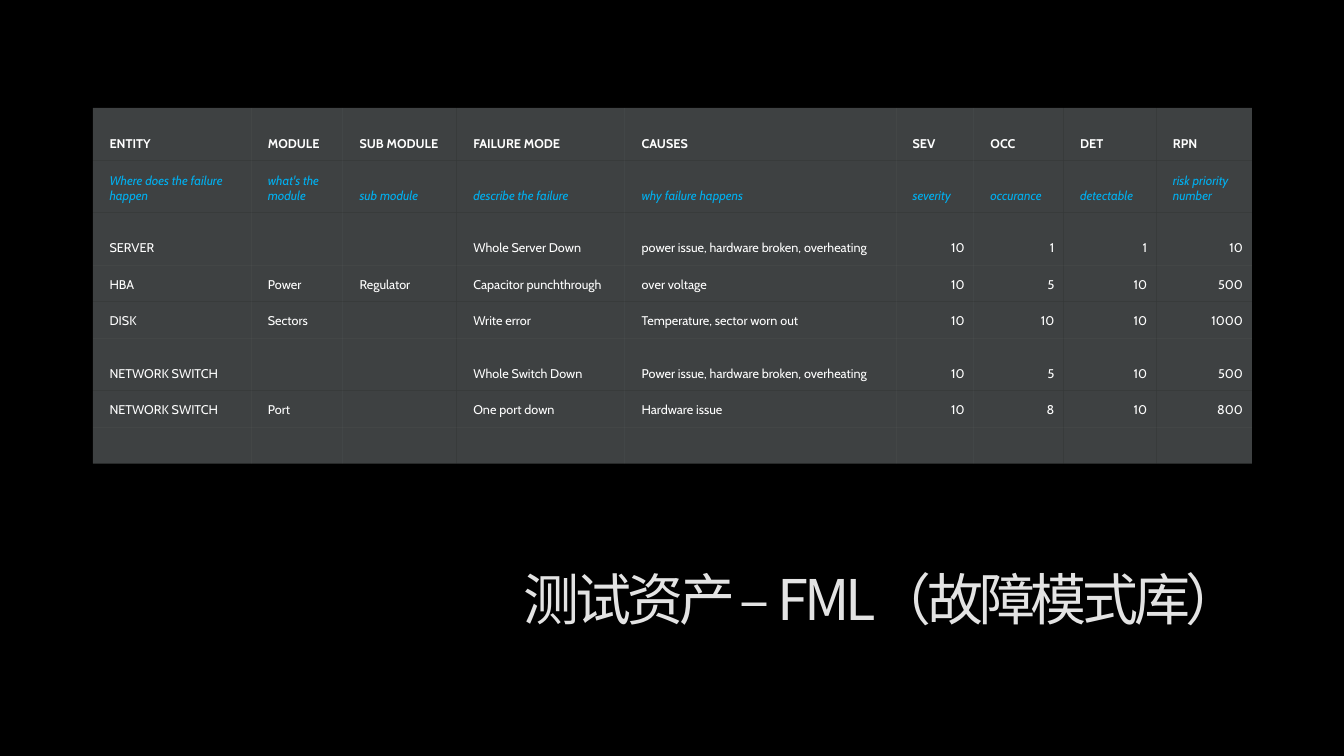
from lxml import etree
from pptx import Presentation
from pptx.dml.color import RGBColor
from pptx.enum.text import MSO_ANCHOR as Anchor, PP_ALIGN as Align
from pptx.oxml import parse_xml
from pptx.oxml.ns import nsdecls, qn
from pptx.util import Cm, Pt

TITLE = "测试资产 – FML（故障模式库）"
TITLE_FONT = "Noto Sans CJK JP"
TITLE_STOPS = [(0, "969696"), (32, "E3E3E3"), (100, "FFFFFF")]
TABLE_FONT = "Cabin"
NO_GRID_STYLE = "{2D5ABB26-0587-4C30-8999-92F81FD0307C}"

HEADINGS = ["ENTITY", "MODULE", "SUB MODULE", "FAILURE MODE", "CAUSES", "SEV", "OCC", "DET", "RPN"]
HINTS = ["Where does the failure happen", "what's the module", "sub module", "describe the failure",
         "why failure happens", "severity", "occurance", "detectable", "risk priority number"]
FAILURES = [
    ["SERVER", "", "", "Whole Server Down", "power issue, hardware broken, overheating", 10, 1, 1, 10],
    ["HBA", "Power", "Regulator", "Capacitor punchthrough", "over voltage", 10, 5, 10, 500],
    ["DISK", "Sectors", "", "Write error", "Temperature, sector worn out", 10, 10, 10, 1000],
    ["NETWORK SWITCH", "", "", "Whole Switch Down", "Power issue, hardware broken, overheating", 10, 5, 10, 500],
    ["NETWORK SWITCH", "Port", "", "One port down", "Hardware issue", 10, 8, 10, 800],
    [""] * len(HEADINGS),
]
ROWS = [HEADINGS, HINTS, *FAILURES]
COLUMN_WIDTHS = [3.99, 2.31, 2.87, 4.24, 6.83, 1.96, 2.26, 2.34, 2.41]
TALL, SHORT = 1.32, 0.92
ROW_HEIGHTS = [TALL, TALL, TALL, SHORT, SHORT, TALL, SHORT, SHORT]
LEFT, TABLE_TOP, TITLE_TOP, TITLE_HEIGHT = 2.34, 2.72, 14.3, 2.67
WIDTH = sum(COLUMN_WIDTHS)


def colour(code):
    return RGBColor.from_string(code)


def fill_cell(cell, value, row):
    cell.fill.solid()
    cell.fill.fore_color.rgb = colour("B4BCBE")
    shade = cell._tc.tcPr.find(".//" + qn("a:srgbClr"))
    etree.SubElement(shade, qn("a:alpha"), val="35000")
    cell.vertical_anchor = Anchor.BOTTOM
    cell.margin_left = Cm(0.42)
    cell.margin_top = cell.margin_right = cell.margin_bottom = Cm(0.23)
    cell.text = str(value)
    para = cell.text_frame.paragraphs[0]
    para.alignment = Align.RIGHT if isinstance(value, int) else Align.LEFT
    para.font.name = TABLE_FONT
    para.font.size = Pt(9)
    para.font.bold = row == 0
    para.font.italic = row == 1
    para.font.color.rgb = colour("00B0F0" if row == 1 else "FFFFFF")


def add_failure_table(page):
    frame = page.shapes.add_table(len(ROWS), len(HEADINGS), Cm(LEFT), Cm(TABLE_TOP),
                                  Cm(WIDTH), Cm(sum(ROW_HEIGHTS)))
    table = frame.table
    table.first_row = table.horz_banding = False
    table._tbl.tblPr.find(qn("a:tableStyleId")).text = NO_GRID_STYLE
    for column, width in zip(table.columns, COLUMN_WIDTHS):
        column.width = Cm(width)
    for index, (values, height) in enumerate(zip(ROWS, ROW_HEIGHTS)):
        table.rows[index].height = Cm(height)
        for cell, value in zip(table.rows[index].cells, values):
            fill_cell(cell, value, index)


def add_title(page):
    box = page.shapes.add_textbox(Cm(LEFT), Cm(TITLE_TOP), Cm(WIDTH), Cm(TITLE_HEIGHT))
    box.text_frame.word_wrap = True
    para = box.text_frame.paragraphs[0]
    para.alignment = Align.RIGHT
    para.line_spacing = 0.9
    span = para.add_run()
    span.text = TITLE
    span.font.size = Pt(40)
    span.font.name = TITLE_FONT
    stops = "".join(f'<a:gs pos="{place * 1000}"><a:srgbClr val="{code}"/></a:gs>' for place, code in TITLE_STOPS)
    style = span.font._element
    style.set("spc", "-300")
    style.insert(0, parse_xml(f'<a:gradFill {nsdecls("a")}><a:gsLst>{stops}</a:gsLst>'
                              '<a:lin ang="8100000" scaled="0"/></a:gradFill>'))
    etree.SubElement(style, qn("a:ea"), typeface=TITLE_FONT)


def main():
    deck = Presentation()
    deck.slide_width, deck.slide_height = Cm(33.87), Cm(19.05)
    page = deck.slides.add_slide(deck.slide_layouts[6])
    page.background.fill.solid()
    page.background.fill.fore_color.rgb = colour("000000")
    add_failure_table(page)
    add_title(page)
    deck.save("out.pptx")


if __name__ == "__main__":
    main()
